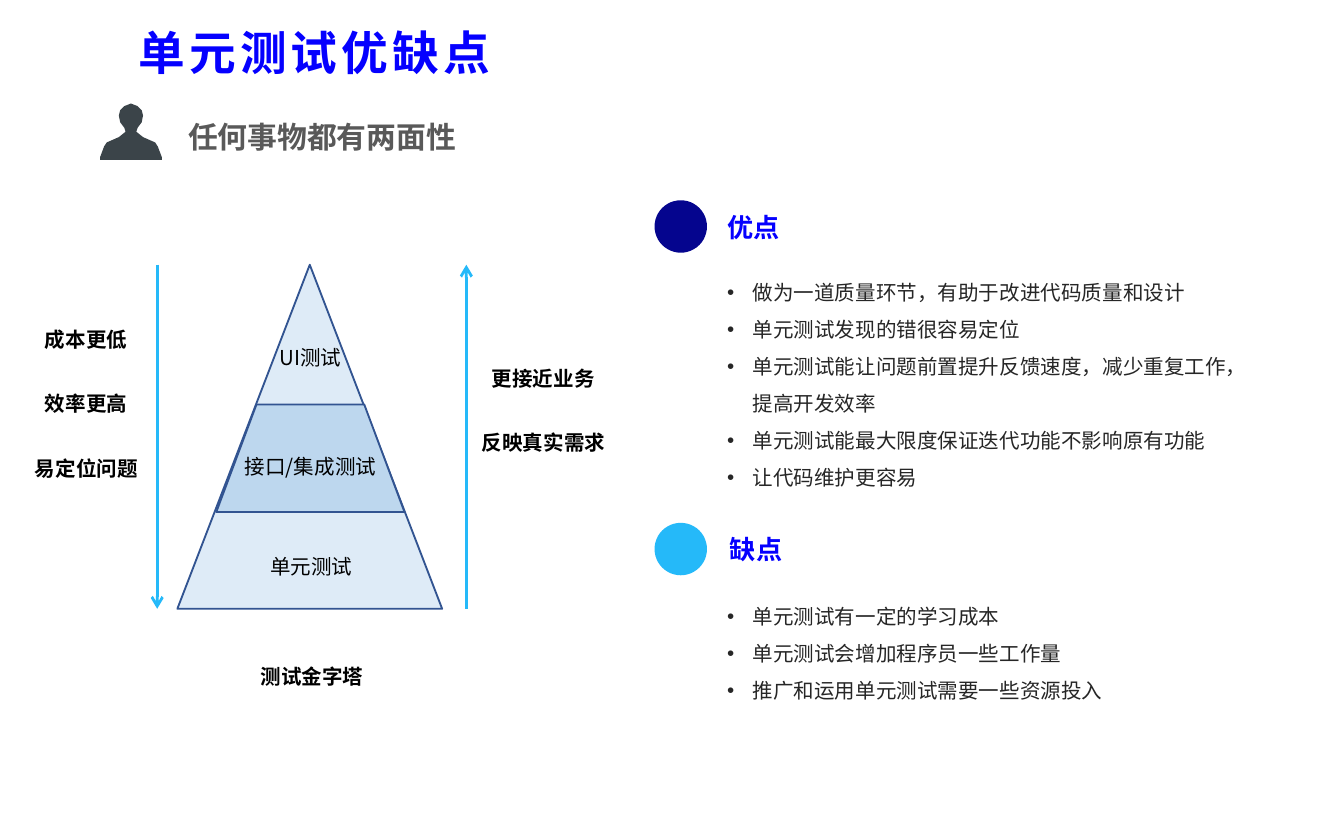
from lxml.etree import SubElement
from pptx import Presentation
from pptx.dml.color import RGBColor
from pptx.enum.shapes import MSO_CONNECTOR, MSO_SHAPE
from pptx.enum.text import MSO_ANCHOR, MSO_AUTO_SIZE, PP_ALIGN
from pptx.oxml.ns import qn
from pptx.util import Inches, Pt

FONT = "Noto Sans CJK SC"
COLORS = {
    "blue": "0500FF", "navy": "05058E", "sky": "25B9F9", "gray": "595959",
    "body": "262626", "black": "000000", "person": "3B4449", "pale": "DEEBF7",
    "light": "BDD7EE", "outline": "325491", "divider": "4472C4",
}

TITLE = "单元测试优缺点"
SUBTITLE = "任何事物都有两面性"
SECTIONS = [
    {"heading": "优点", "color": "navy", "heading_left": 5.33, "circle_top": 1.49,
     "list_top": 1.95, "list_height": 1.74,
     "items": ["做为一道质量环节，有助于改进代码质量和设计",
               "单元测试发现的错很容易定位",
               "单元测试能让问题前置提升反馈速度，减少重复工作，提高开发效率",
               "单元测试能最大限度保证迭代功能不影响原有功能",
               "让代码维护更容易"]},
    {"heading": "缺点", "color": "sky", "heading_left": 5.35, "circle_top": 3.89,
     "list_top": 4.36, "list_height": 0.91,
     "items": ["单元测试有一定的学习成本",
               "单元测试会增加程序员一些工作量",
               "推广和运用单元测试需要一些资源投入"]},
]
LEVELS = [
    ("UI测试", 2, 2.53, 0.63, True),
    ("接口/集成测试", 1.74, 3.34, 1.15, True),
    ("单元测试", 1.93, 4.08, 0.77, False),
]
SIDE_LABELS = [
    (0.64, 2.39, ["成本更低", "效率更高", "易定位问题"]),
    (4.04, 2.68, ["更接近业务", "反映真实需求"]),
]
CAPTION = "测试金字塔"
LABEL_STEP = 0.48
PYRAMID_TOP, PYRAMID_BOTTOM = 1.97, 4.53
DIVIDERS = [(1.61, 2.99, 3.81), (1.91, 2.67, 3.01)]
PERSON_CENTER = 0.975
PERSON_HALF = [
    (0, 0.77), (0.05, 0.79), (0.08, 0.82), (0.09, 0.86), (0.08, 0.91),
    (0.05, 0.95), (0.04, 0.98), (0.09, 1.02), (0.18, 1.06), (0.2, 1.09),
    (0.23, 1.17), (0.23, 1.19),
]


def color(name):
    return RGBColor.from_string(COLORS[name])


def place(shape, left, top, width, height):
    shape.left, shape.top = Inches(left), Inches(top)
    shape.width, shape.height = Inches(width), Inches(height)


def format_text(shape, size, color_name, bold=False, spacing=0, wrap=True):
    frame = shape.text_frame
    frame.word_wrap = wrap
    frame.auto_size = MSO_AUTO_SIZE.NONE
    frame.vertical_anchor = MSO_ANCHOR.TOP
    frame.margin_left = frame.margin_right = Inches(0.08)
    frame.margin_top = frame.margin_bottom = Inches(0.04)
    for paragraph in frame.paragraphs:
        paragraph.alignment = PP_ALIGN.LEFT
        for run in paragraph.runs:
            run.font.name = FONT
            run.font.size = Pt(size)
            run.font.bold = bold
            run.font.color.rgb = color(color_name)
            properties = run.font._element
            SubElement(properties, qn("a:ea")).set("typeface", FONT)
            if spacing:
                properties.set("spc", str(round(spacing * 100)))


def add_text(slide, text, box, size=11, color_name="black", **style):
    shape = slide.shapes.add_textbox(*map(Inches, box))
    shape.text_frame.text = text
    format_text(shape, size, color_name, **style)


def add_label(slide, text, center, top):
    width = 0.15 * len(text) + 0.17
    add_text(slide, text, (center - width / 2, top, width, 0.26), bold=True, wrap=False)


def paint(shape, fill, outline=None):
    shape.shadow.inherit = False
    shape.fill.solid()
    shape.fill.fore_color.rgb = color(fill)
    if outline:
        shape.line.color.rgb = color(outline)
        shape.line.width = Pt(1)
    else:
        shape.line.fill.background()


def add_shape(slide, kind, box, fill, outline=None):
    shape = slide.shapes.add_shape(kind, *map(Inches, box))
    paint(shape, fill, outline)
    return shape


def add_line(slide, start, end, color_name, width, arrow=False):
    line = slide.shapes.add_connector(MSO_CONNECTOR.STRAIGHT, *map(Inches, start + end))
    line.line.color.rgb = color(color_name)
    line.line.width = Pt(width)
    if arrow:
        SubElement(line.line._get_or_add_ln(), qn("a:tailEnd")).set("type", "arrow")
    SubElement(line._element.spPr, qn("a:effectLst"))


def fill_list(placeholder, section):
    place(placeholder, 5.33, section["list_top"], 3.92, section["list_height"])
    placeholder.text_frame.text = "\n".join(section["items"])
    format_text(placeholder, 11, "body")
    for paragraph in placeholder.text_frame.paragraphs:
        paragraph.line_spacing = 1.5
        paragraph.space_before = paragraph.space_after = Pt(0)
        properties = paragraph._p.get_or_add_pPr()
        properties.set("marL", str(Inches(0.19)))
        properties.set("indent", str(-Inches(0.19)))
        SubElement(properties, qn("a:buFont")).set("typeface", "Arial")
        SubElement(properties, qn("a:buChar")).set("char", "•")


def add_person(slide):
    right = [(PERSON_CENTER + offset, y) for offset, y in PERSON_HALF]
    left = [(PERSON_CENTER - offset, y) for offset, y in reversed(PERSON_HALF[1:])]
    points = [(Inches(x), Inches(y)) for x, y in right + left]
    builder = slide.shapes.build_freeform(*points[0])
    builder.add_line_segments(points[1:], close=True)
    paint(builder.convert_to_shape(), "person")


def add_pyramid(slide):
    height = PYRAMID_BOTTOM - PYRAMID_TOP
    add_shape(slide, MSO_SHAPE.ISOSCELES_TRIANGLE, (1.32, PYRAMID_TOP, 1.97, height),
              "pale", "outline")
    for left, right, y in DIVIDERS:
        add_line(slide, (left, y), (right, y), "divider", 0.5)
    middle = add_shape(slide, MSO_SHAPE.TRAPEZOID, (1.61, 3.01, 1.4, 0.8), "light", "outline")
    middle.adjustments[0] = 0.374
    for text, left, top, width, wrap in LEVELS:
        add_text(slide, text, (left, top, width, 0.26), wrap=wrap)
    add_line(slide, (1.17, PYRAMID_TOP), (1.17, PYRAMID_BOTTOM), "sky", 1.5, True)
    add_line(slide, (3.47, PYRAMID_BOTTOM), (3.47, PYRAMID_TOP), "sky", 1.5, True)
    for center, top, labels in SIDE_LABELS:
        for index, text in enumerate(labels):
            add_label(slide, text, center, top + index * LABEL_STEP)
    add_label(slide, CAPTION, 2.32, 4.9)


def main():
    presentation = Presentation()
    presentation.slide_width, presentation.slide_height = Inches(10), Inches(6.25)
    slide = presentation.slides.add_slide(presentation.slide_layouts[3])
    title, *lists = slide.placeholders

    place(title, 0.95, 0.14, 3.24, 0.5)
    title.text_frame.text = TITLE
    format_text(title, 25, "blue", bold=True, spacing=2.3)
    add_person(slide)
    add_text(slide, SUBTITLE, (1.32, 0.84, 2.18, 0.35), 16, "gray", bold=True, wrap=False)
    add_pyramid(slide)

    for placeholder, section in zip(lists[:2], SECTIONS):
        top = section["circle_top"]
        add_shape(slide, MSO_SHAPE.OVAL, (4.87, top, 0.39, 0.39), section["color"])
        add_text(slide, section["heading"], (section["heading_left"], top + 0.04, 0.56, 0.31),
                 14, "blue", bold=True, spacing=0.4, wrap=False)
        fill_list(placeholder, section)

    presentation.save("out.pptx")


if __name__ == "__main__":
    main()
